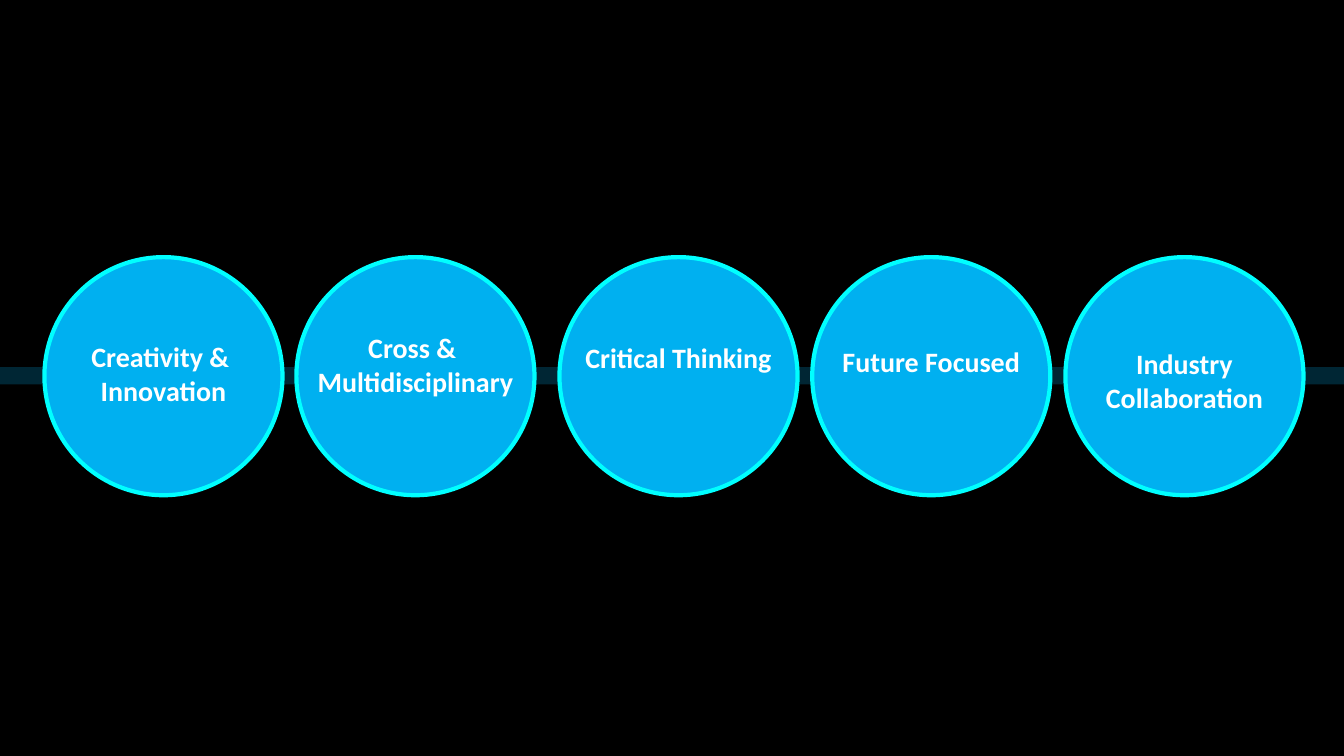
from dataclasses import dataclass

from lxml import etree
from pptx import Presentation
from pptx.dml.color import RGBColor
from pptx.enum.shapes import MSO_CONNECTOR, MSO_SHAPE
from pptx.enum.text import MSO_ANCHOR, PP_ALIGN
from pptx.oxml.ns import qn
from pptx.util import Cm, Pt

OVAL = MSO_SHAPE.OVAL
STRAIGHT = MSO_CONNECTOR.STRAIGHT
CENTER = PP_ALIGN.CENTER
TOP = MSO_ANCHOR.TOP


@dataclass(frozen=True)
class Theme:
    background: RGBColor = RGBColor(0x00, 0x00, 0x00)
    accent: RGBColor = RGBColor(0x00, 0xB0, 0xF0)
    outline: RGBColor = RGBColor(0x00, 0xFF, 0xFF)
    text: RGBColor = RGBColor(0xFF, 0xFF, 0xFF)
    font: str = "Calibri"
    label_size: Pt = Pt(20)
    outline_width: Pt = Pt(3)
    band_width: Pt = Pt(12.25)
    band_opacity: int = 21


THEME = Theme()
SLIDE_WIDTH, SLIDE_HEIGHT = Cm(33.87), Cm(19.05)
DIAMETER = Cm(6)
CIRCLE_TOP = Cm(6.48)
LABEL_WIDTH, LABEL_HEIGHT = Cm(6.63), Cm(1.63)
INSET = Cm(0.25)
BAND_Y = Cm(9.47)

SKILLS = [
    (Cm(1.12), Cm(8.31), ["Creativity & ", "Innovation"]),
    (Cm(7.47), Cm(8.08), ["Cross & ", "Multidisciplinary"]),
    (Cm(14.1), Cm(8.33), ["Critical Thinking"]),
    (Cm(20.47), Cm(8.43), ["Future Focused"]),
    (Cm(26.85), Cm(8.48), ["Industry Collaboration"]),
]


def add_band(slide):
    band = slide.shapes.add_connector(STRAIGHT, 0, BAND_Y, SLIDE_WIDTH, BAND_Y)
    band.line.color.rgb = THEME.accent
    band.line.width = THEME.band_width
    properties = band._element.spPr
    color = properties.find(".//" + qn("a:srgbClr"))
    etree.SubElement(color, qn("a:alpha"), val=str(THEME.band_opacity * 1000))
    etree.SubElement(properties, qn("a:effectLst"))


def add_circle(shapes, left):
    circle = shapes.add_shape(OVAL, left, CIRCLE_TOP, DIAMETER, DIAMETER)
    circle.shadow.inherit = False
    circle.fill.solid()
    circle.fill.fore_color.rgb = THEME.accent
    circle.line.color.rgb = THEME.outline
    circle.line.width = THEME.outline_width


def add_label(shapes, left, top, lines):
    frame = shapes.add_textbox(left, top, LABEL_WIDTH, LABEL_HEIGHT).text_frame
    frame.word_wrap = True
    frame.vertical_anchor = TOP
    frame.margin_left = frame.margin_right = INSET
    frame.margin_top = frame.margin_bottom = INSET
    for index, line in enumerate(lines):
        paragraph = frame.add_paragraph() if index else frame.paragraphs[0]
        paragraph.alignment = CENTER
        run = paragraph.add_run()
        run.text = line
        run.font.name = THEME.font
        run.font.size = THEME.label_size
        run.font.bold = True
        run.font.color.rgb = THEME.text


def add_skill(slide, left, label_top, lines):
    group = slide.shapes.add_group_shape()
    add_circle(group.shapes, left)
    label_left = left + (DIAMETER - LABEL_WIDTH) // 2
    add_label(group.shapes, label_left, label_top, lines)


def main():
    presentation = Presentation()
    presentation.slide_width = SLIDE_WIDTH
    presentation.slide_height = SLIDE_HEIGHT
    slide = presentation.slides.add_slide(presentation.slide_layouts[6])
    slide.background.fill.solid()
    slide.background.fill.fore_color.rgb = THEME.background
    add_band(slide)
    for left, label_top, lines in SKILLS:
        add_skill(slide, left, label_top, lines)
    presentation.save("out.pptx")


if __name__ == "__main__":
    main()
